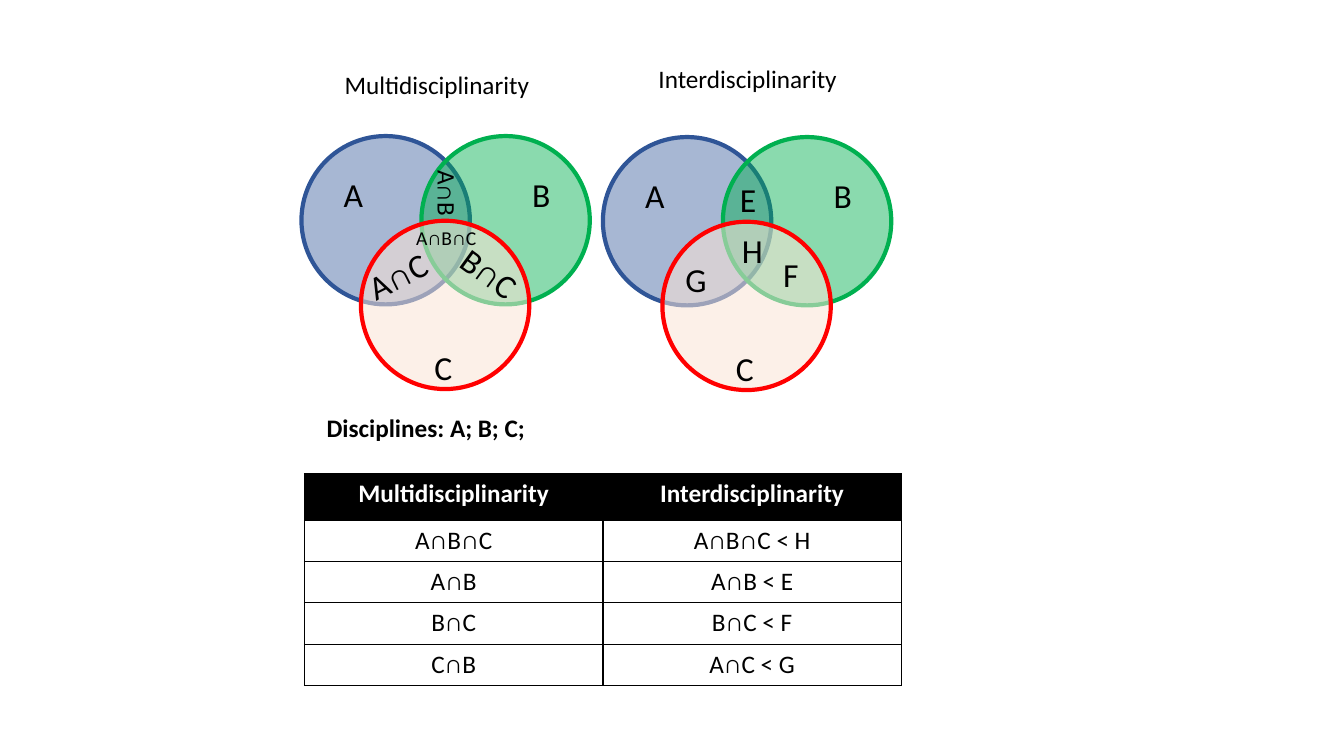
"""Slide comparing multidisciplinarity and interdisciplinarity with Venn diagrams and a table."""
from lxml.etree import SubElement
from pptx import Presentation
from pptx.dml.color import RGBColor as RGB
from pptx.enum.shapes import MSO_SHAPE as SHAPE
from pptx.enum.text import PP_ALIGN as ALIGN
from pptx.oxml.ns import qn
from pptx.util import Pt

PX = 9144
COLORS = {
    "blue": "2F5597",
    "green": "00B050",
    "red": "FF0000",
    "peach": "FBE5D6",
    "black": "000000",
    "white": "FFFFFF",
}


def style_text(paragraph, size, color="black", bold=False, align=ALIGN.LEFT):
    paragraph.alignment = align
    for run in paragraph.runs:
        run.font.name = "Calibri"
        run.font.size = Pt(size)
        run.font.bold = bold
        run.font.color.rgb = RGB.from_string(COLORS[color])


def add_label(text, x, y, w, h, size, angle=0, bold=False, align=ALIGN.LEFT):
    label = slide.shapes.add_textbox(x * PX, y * PX, w * PX, h * PX)
    label.rotation = angle
    label.text_frame.word_wrap = False
    label.text_frame.text = text
    style_text(label.text_frame.paragraphs[0], size, bold=bold, align=align)


prs = Presentation()
prs.slide_width, prs.slide_height = 1333 * PX, 750 * PX
slide = prs.slides.add_slide(prs.slide_layouts[6])

DIAMETER = 167
circles = [
    (0, 0, "blue", "blue", 42),
    (119, 0, "green", "green", 46),
    (59, 84, "peach", "red", 54),
]
disciplines = [("A", 32, 33, 40, 50, 24, 0), ("B", 219, 33, 38, 50, 24, 0),
               ("C", 122, 204, 38, 50, 24, 0)]
interdisciplinary = [
    ("E", 126, 37, 37, 50, 24, 0),
    ("H", 128, 87, 41, 50, 24, 0),
    ("G", 72, 116, 41, 50, 24, 0),
    ("F", 169, 111, 36, 50, 24, 0),
]
multidisciplinary = [
    ("A∩C", 55, 113, 81, 50, 24, 333.3),
    ("A∩B∩C", 104, 84, 81, 34, 14, 0),
    ("B∩C", 147, 111, 80, 50, 24, 36.1),
    ("A∩B", 112, 37, 66, 40, 18, 90),
]

for left, top, overlaps in [(598, 136, interdisciplinary), (299, 135, multidisciplinary)]:
    for dx, dy, fill, outline, opacity in circles:
        circle = slide.shapes.add_shape(
            SHAPE.OVAL, (left + dx) * PX, (top + dy) * PX, DIAMETER * PX, DIAMETER * PX)
        circle.shadow.inherit = False
        circle.fill.solid()
        circle.fill.fore_color.rgb = RGB.from_string(COLORS[fill])
        tint = circle.fill._xPr.find(qn("a:solidFill"))[0]
        SubElement(tint, qn("a:alpha"), val=str(opacity * 1000))
        circle.line.color.rgb = RGB.from_string(COLORS[outline])
        circle.line.width = Pt(3)
    for text, dx, dy, w, h, size, angle in disciplines + overlaps:
        add_label(text, left + dx, top + dy, w, h, size, angle)

comparison = [
    ("Multidisciplinarity", "Interdisciplinarity"),
    ("A∩B∩C", "A∩B∩C < H"),
    ("A∩B", "A∩B < E"),
    ("B∩C", "B∩C < F"),
    ("C∩B", "A∩C < G"),
]
last = len(comparison) - 1
table = slide.shapes.add_table(
    len(comparison), 2, 302 * PX, 470 * PX, 592 * PX, 210 * PX).table
for column in table.columns:
    column.width = 296 * PX
for r, texts in enumerate(comparison):
    header = r == 0
    table.rows[r].height = (46 if header else 41) * PX
    for c, text in enumerate(texts):
        cell = table.cell(r, c)
        cell.text_frame.text = text
        style_text(cell.text_frame.paragraphs[0], 18, "white" if header else "black",
                   bold=header, align=ALIGN.CENTER)
        borders = {"L": 1, "R": 1, "T": 1 if header else 0.5, "B": 1 if r == last else 0.5}
        for side, width in borders.items():
            border = SubElement(cell._tc.get_or_add_tcPr(), qn(f"a:ln{side}"), w=str(Pt(width)))
            paint = SubElement(border, qn("a:solidFill"))
            SubElement(paint, qn("a:srgbClr"), val=COLORS["black"])
        cell.fill.solid()
        cell.fill.fore_color.rgb = RGB.from_string(COLORS["black" if header else "white"])

add_label("Disciplines: A; B; C;", 314, 404, 219, 40, 18, bold=True)
add_label("Multidisciplinarity", 332, 64, 205, 40, 18)
add_label("Interdisciplinarity", 642, 58, 199, 40, 18, align=ALIGN.CENTER)

prs.save("out.pptx")
